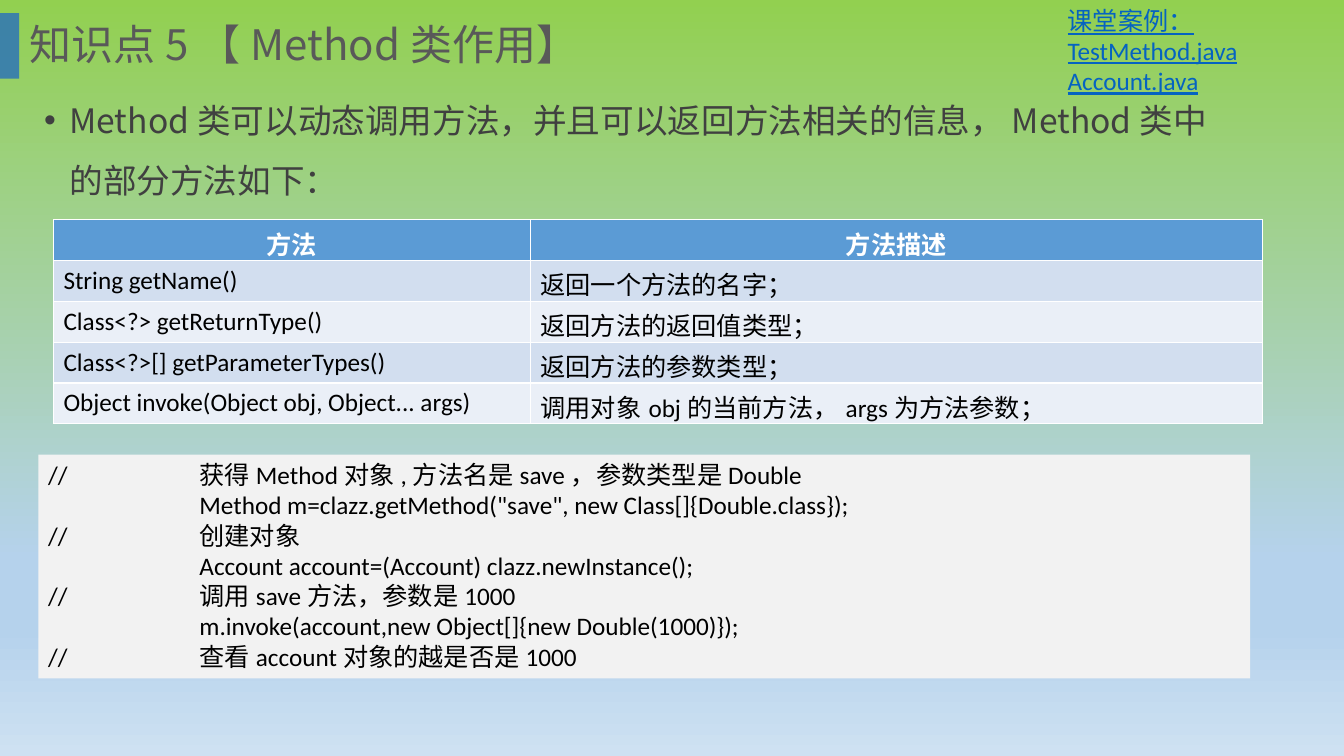
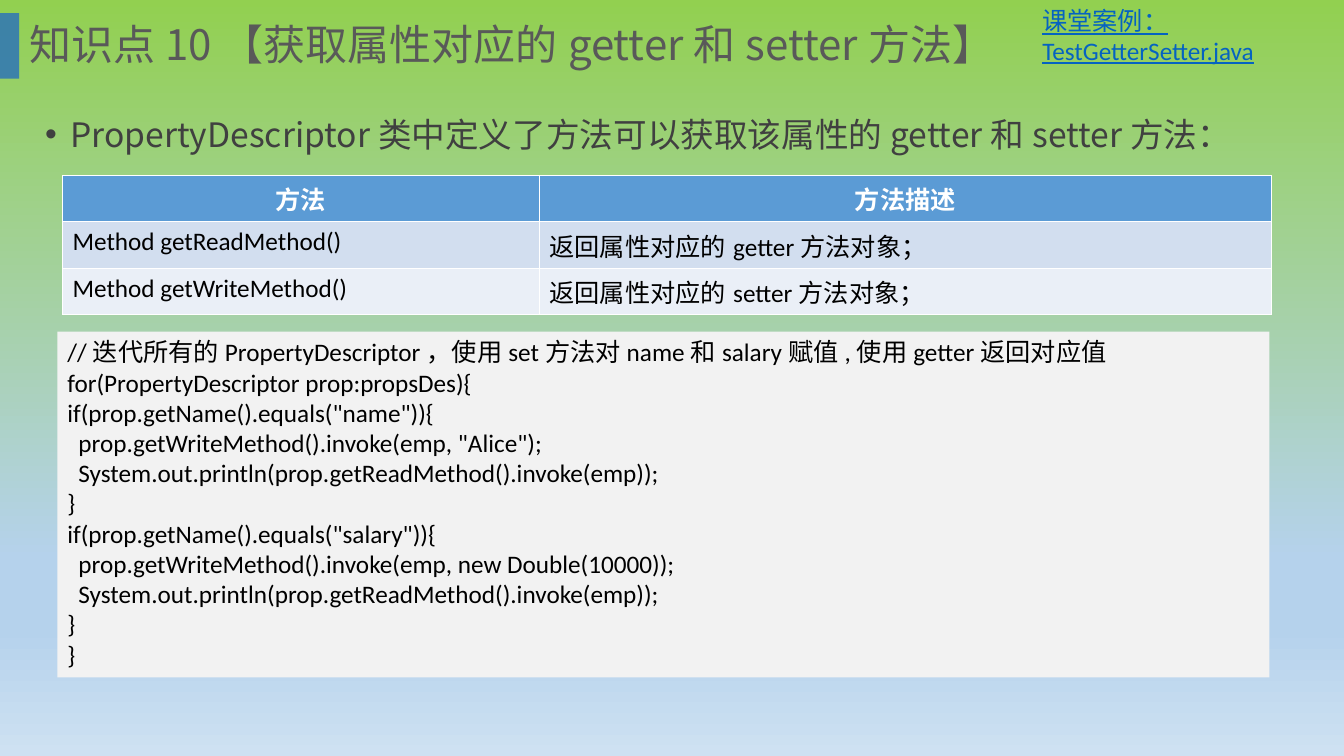
from lxml import etree
from pptx import Presentation
from pptx.dml.color import RGBColor
from pptx.enum import shapes, text
from pptx.oxml.ns import qn
from pptx.util import Inches, Pt

CJK, LATIN = "Noto Sans CJK SC", "Calibri"
TITLE, BODY, LINK, BLACK, WHITE = "595959", "404040", "0563C1", "000000", "FFFFFF"
ACCENT, HEADER, CODE_FILL = "2E75B6", "5B9BD5", "F2F2F2"
ROW_FILLS = ["D2DEEF", "EAEFF7"]
SKY = [(0, "92D050"), (74, "B5D2EC"), (83, "B5D2EC"), (100, "CEE1F2")]
COLUMNS = [4.73, 7.26]
TABLE_HEAD = ("方法", "方法描述")
CODE_INDENT = 0.11


def rgb(value):
    return RGBColor.from_string(value)


def style(p, size, font, color, bold=False, underline=False):
    """Format every run of a paragraph; Chinese glyphs always use the CJK font."""
    for r in p.runs:
        f = r.font
        f.size, f.name, f.bold, f.underline = Pt(size), font, bold, underline
        f.color.rgb = rgb(color)
        latin = r.font._element.find(qn("a:latin"))
        ea = etree.Element(qn("a:ea"), typeface=CJK)
        latin.addnext(ea)


def add_text(s, box, lines, size, font, color, **kw):
    tf = s.shapes.add_textbox(*map(Inches, box)).text_frame
    tf.word_wrap = True
    tf.text = "\n".join(lines)
    for p in tf.paragraphs:
        style(p, size, font, color, **kw)
    return tf


def add_box(s, box, fill):
    sp = s.shapes.add_shape(shapes.MSO_SHAPE.RECTANGLE, *map(Inches, box))
    sp.shadow.inherit = False
    sp.fill.solid()
    sp.fill.fore_color.rgb = rgb(fill)
    sp.line.fill.background()
    return sp


def set_background(master):
    fill = master.background.fill
    fill.gradient()
    fill.gradient_angle = 270
    stops = master.element.find(".//" + qn("a:gsLst"))
    for stop in list(stops):
        stops.remove(stop)
    for percent, color in SKY:
        stop = etree.SubElement(stops, qn("a:gs"), pos=str(percent * 1000))
        etree.SubElement(stop, qn("a:srgbClr"), val=color)


def add_title(s, title):
    bar = add_box(s, (0, 0.13, 0.19, 0.65), ACCENT)
    color = bar.element.spPr.find(".//" + qn("a:srgbClr"))
    etree.SubElement(color, qn("a:alpha"), val="85000")
    tf = add_text(s, (0.19, 0, 12.66, 0.93), [title], 30, CJK, TITLE)
    tf.vertical_anchor = text.MSO_ANCHOR.MIDDLE
    tf.paragraphs[0].line_spacing = 0.9


def add_bullet(s, box, line):
    p = add_text(s, box, [line], 24, CJK, BODY).paragraphs[0]
    p.line_spacing, p.space_before = 1.5, Pt(10)
    pPr = p._p.get_or_add_pPr()
    pPr.set("marL", str(Inches(0.25)))
    pPr.set("indent", str(-Inches(0.25)))
    etree.SubElement(pPr, qn("a:buFont"), typeface="Arial")
    etree.SubElement(pPr, qn("a:buChar"), char="•")


def add_methods(s, left, top, row_height, methods):
    """Table of methods and what they do, under a fixed heading row."""
    rows = [TABLE_HEAD] + methods
    table = s.shapes.add_table(
        len(rows), len(COLUMNS), Inches(left), Inches(top),
        Inches(sum(COLUMNS)), Inches(row_height * len(rows))).table
    for column, width in zip(table.columns, COLUMNS):
        column.width = Inches(width)
    for i, row in enumerate(rows):
        head = i == 0
        for cell, value in zip(table.rows[i].cells, row):
            cell.text = value
            cell.fill.solid()
            cell.fill.fore_color.rgb = rgb(HEADER if head else ROW_FILLS[(i - 1) % 2])
            p = cell.text_frame.paragraphs[0]
            p.alignment = text.PP_ALIGN.CENTER if head else text.PP_ALIGN.LEFT
            style(p, 18, LATIN, WHITE if head else BLACK, bold=head)


def add_code(s, box, lines):
    """Code panel; each line is (indent level, code)."""
    tf = add_box(s, box, CODE_FILL).text_frame
    tf.word_wrap = True
    tf.vertical_anchor = text.MSO_ANCHOR.TOP
    tf.text = "\n".join(code for _, code in lines)
    for p, (level, _) in zip(tf.paragraphs, lines):
        p.alignment = text.PP_ALIGN.LEFT
        if level:
            p._p.get_or_add_pPr().set("marL", str(Inches(CODE_INDENT * level)))
        style(p, 18, LATIN, BLACK)


def add_topic(prs, title, bullet, table, code, example):
    s = prs.slides.add_slide(prs.slide_layouts[6])
    add_title(s, title)
    add_bullet(s, *bullet)
    add_methods(s, *table)
    add_code(s, *code)
    add_text(s, *example, 18, LATIN, LINK, underline=True)


def main():
    prs = Presentation()
    prs.slide_width, prs.slide_height = Inches(13.33), Inches(7.5)
    set_background(prs.slide_master)

    add_topic(
        prs, "知识点5【Method类作用】",
        bullet=((0.34, 0.74, 12.05, 2.81),
                "Method类可以动态调用方法，并且可以返回方法相关的信息，Method类中的部分方法如下："),
        table=(0.53, 2.18, 0.405, [
            ("String getName()", "返回一个方法的名字；"),
            ("Class<?> getReturnType()", "返回方法的返回值类型；"),
            ("Class<?>[] getParameterTypes()", "返回方法的参数类型；"),
            ("Object invoke(Object obj, Object... args)", "调用对象obj的当前方法，args为方法参数；"),
        ]),
        code=((0.38, 4.51, 12.02, 2.22), [
            (0, "//\t\t\t获得Method对象,方法名是save，参数类型是Double"),
            (0, "\t\t\tMethod m=clazz.getMethod(\"save\", new Class[]{Double.class});"),
            (0, "//\t\t\t创建对象"),
            (0, "\t\t\tAccount account=(Account) clazz.newInstance();"),
            (0, "//\t\t\t调用save方法，参数是1000"),
            (0, "\t\t\tm.invoke(account,new Object[]{new Double(1000)});"),
            (0, "//\t\t\t查看account对象的越是否是1000"),
        ]),
        example=((10.49, 0, 2.28, 1.01), ["课堂案例：TestMethod.java", "Account.java"]))

    add_topic(
        prs, "知识点10【获取属性对应的getter和setter方法】",
        bullet=((0.35, 0.88, 12.05, 1.91),
                "PropertyDescriptor类中定义了方法可以获取该属性的getter和setter方法："),
        table=(0.62, 1.74, 0.46, [
            ("Method getReadMethod()", "返回属性对应的getter方法对象；"),
            ("Method getWriteMethod()", "返回属性对应的setter方法对象；"),
        ]),
        code=((0.57, 3.29, 12.02, 3.43), [
            (0, "//迭代所有的PropertyDescriptor，使用set方法对name和salary赋值,使用getter返回对应值"),
            (0, "for(PropertyDescriptor prop:propsDes){"),
            (0, "if(prop.getName().equals(\"name\")){"),
            (1, "prop.getWriteMethod().invoke(emp, \"Alice\");"),
            (1, "System.out.println(prop.getReadMethod().invoke(emp));"),
            (0, "}"),
            (0, "if(prop.getName().equals(\"salary\")){"),
            (1, "prop.getWriteMethod().invoke(emp, new Double(10000));"),
            (1, "System.out.println(prop.getReadMethod().invoke(emp));"),
            (0, "}"),
            (0, "}"),
        ]),
        example=((10.24, 0, 2.53, 0.71), ["课堂案例：TestGetterSetter.java"]))

    prs.save("out.pptx")


if __name__ == "__main__":
    main()
